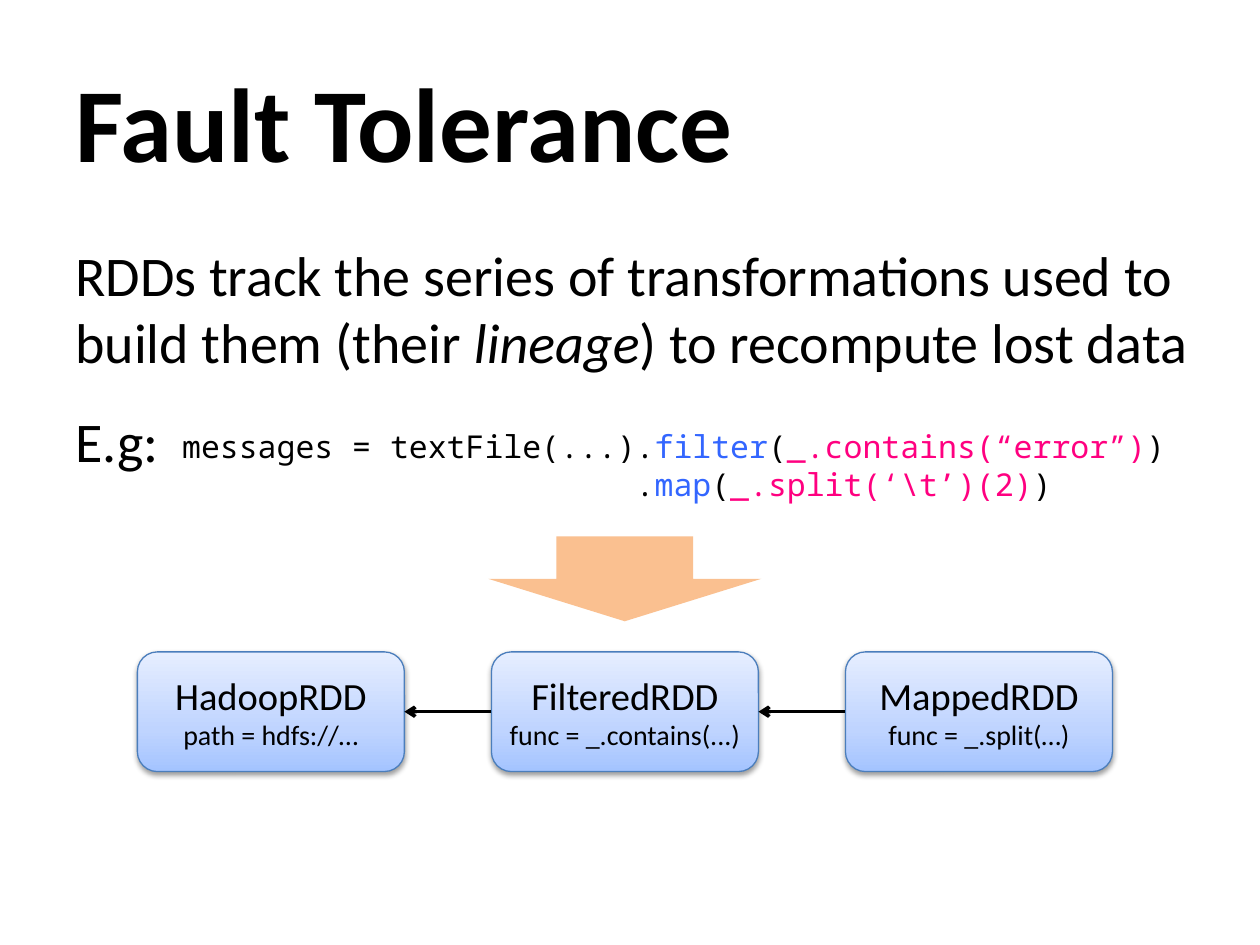
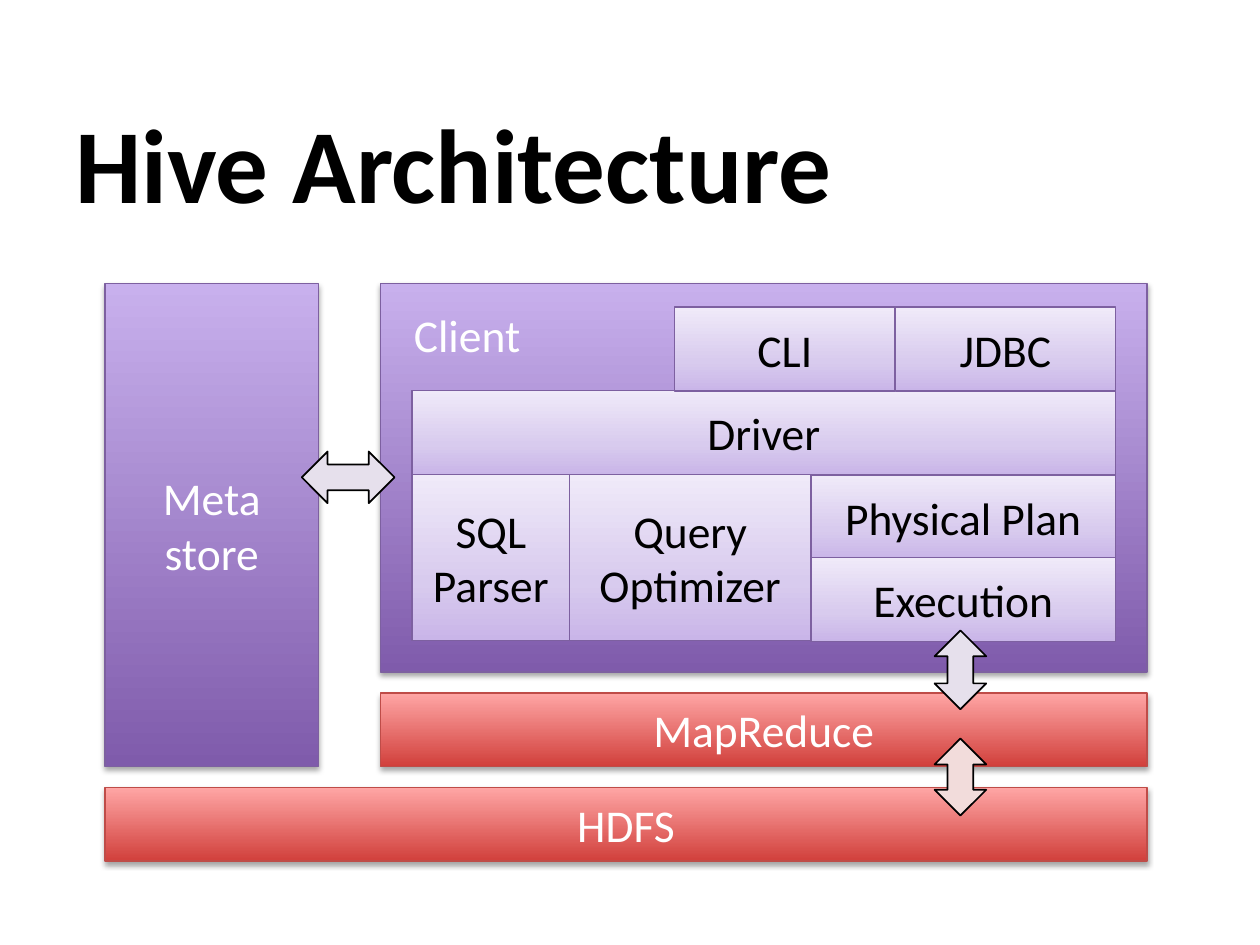
"""Build two slides: RDD fault tolerance and the Hive architecture."""
from copy import deepcopy

from lxml.etree import SubElement
from pptx import Presentation
from pptx.dml.color import RGBColor
from pptx.enum.shapes import MSO_CONNECTOR, MSO_SHAPE as SHAPE
from pptx.enum.text import MSO_ANCHOR as ANCHOR, PP_ALIGN as ALIGN
from pptx.oxml.ns import qn
from pptx.util import Pt

COLORS = {
    "black": "000000", "white": "FFFFFF", "method": "3366FF", "argument": "FF0080",
    "peach": "FAC090", "lilac": "E6E0EC", "rose": "F2DCDB",
}
STYLES = {
    "rdd": {"stops": [(0, "A4C4FF"), (35, "BFD4FF"), (100, "E6EEFF")],
            "line": "4B7EBC", "text": "black", "shadow": (38, 1.6)},
    "hive": {"stops": [(0, "7F5BAB"), (100, "C8B0ED")],
             "line": "7D60A0", "text": "white", "shadow": (35, 1.8)},
    "hadoop": {"stops": [(0, "D1403C"), (100, "FFA6A5")],
               "line": "BF4C48", "text": "white", "shadow": (35, 1.8)},
    "part": {"stops": [(0, "C9B5E8"), (35, "D8CBEE"), (100, "F0EAF9")],
             "line": "7D60A0", "text": "black", "shadow": None},
}


def write(frame, paragraphs, anchor=ANCHOR.TOP, align=ALIGN.LEFT, gap=0, font="Calibri"):
    """Fill a text frame with paragraphs of (text, size, color, emphasis) runs."""
    frame.word_wrap = True
    frame.vertical_anchor = anchor
    for index, runs in enumerate(paragraphs):
        paragraph = frame.add_paragraph() if index else frame.paragraphs[0]
        paragraph.alignment = align
        if index and gap:
            paragraph.space_before = Pt(gap)
        for text, size, color, emphasis in runs:
            run = paragraph.add_run()
            run.text = text
            run.font.name = font
            run.font.size = Pt(size)
            run.font.color.rgb = RGBColor.from_string(COLORS[color])
            run.font.bold = emphasis == "bold"
            run.font.italic = emphasis == "italic"


def add_block(slide, kind, place, style):
    """Add a shape with the gradient, outline and shadow of a style."""
    look = STYLES[style]
    block = slide.shapes.add_shape(kind, *map(Pt, place))
    block.fill.gradient()
    block.fill.gradient_angle = 90
    stop_list = block._element.spPr.find(".//" + qn("a:gsLst"))
    for _ in look["stops"][2:]:
        stop_list.append(deepcopy(stop_list[0]))
    for stop, (position, color) in zip(block.fill.gradient_stops, look["stops"]):
        stop.position = position / 100
        stop.color.rgb = RGBColor.from_string(color)
    block.line.color.rgb = RGBColor.from_string(look["line"])
    block.line.width = Pt(0.75)
    block.shadow.inherit = False
    if look["shadow"]:
        opacity, distance = look["shadow"]
        effects = block._element.spPr.find(qn("a:effectLst"))
        shade = SubElement(effects, qn("a:outerShdw"), blurRad=str(Pt(3.1)),
                           dist=str(Pt(distance)), dir="5400000", rotWithShape="0")
        tint = SubElement(shade, qn("a:srgbClr"), val=COLORS["black"])
        SubElement(tint, qn("a:alpha"), val=str(opacity * 1000))
    return block


deck = Presentation()
deck.slide_width, deck.slide_height = Pt(720), Pt(540)
slides = []
for heading, top in [("Fault Tolerance", 24), ("Hive Architecture", 47)]:
    slide = deck.slides.add_slide(deck.slide_layouts[6])
    title = slide.shapes.add_textbox(Pt(36), Pt(top), Pt(648), Pt(90))
    write(title.text_frame, [[(heading, 60, "black", "bold")]], ANCHOR.MIDDLE)
    slides.append(slide)
fault, hive = slides

down = fault.shapes.add_shape(SHAPE.DOWN_ARROW, Pt(279), Pt(306.5), Pt(156), Pt(48.5))
down.shadow.inherit = False
down.fill.solid()
down.fill.fore_color.rgb = RGBColor.from_string(COLORS["peach"])
down.line.fill.background()

lineage = fault.shapes.add_textbox(Pt(36), Pt(134), Pt(654), Pt(328))
write(lineage.text_frame, [
    [("RDDs track the series of transformations used to build them (their ", 32, "black", ""),
     ("lineage", 32, "black", "italic"),
     (") to recompute lost data", 32, "black", "")],
    [("E.g:", 32, "black", "")],
], gap=18)

code = fault.shapes.add_textbox(Pt(97), Pt(240.5), Pt(596), Pt(73))
write(code.text_frame, [
    [(text, 18, color, "") for text, color in line] for line in [
        [("messages = textFile(...).", "black"), ("filter", "method"), ("(", "black"),
         ("_.contains(“error”)", "argument"), (")", "black")],
        [("                        .", "black"), ("map", "method"), ("(", "black"),
         ("_.split(‘\\t’)(2)", "argument"), (")", "black")],
    ]
], font="Noto Sans Mono")

previous = None
for index, (name, detail) in enumerate([
    ("HadoopRDD", "path = hdfs://…"),
    ("FilteredRDD", "func = _.contains(...)"),
    ("MappedRDD", "func = _.split(…)"),
]):
    rdd = add_block(fault, SHAPE.ROUNDED_RECTANGLE, (78.5 + 202.3 * index, 372.5, 152.6, 68.4), "rdd")
    rdd.text_frame.margin_left = rdd.text_frame.margin_right = 0
    write(rdd.text_frame, [[(name, 22, "black", "")], [(detail, 16, "black", "")]],
          ANCHOR.MIDDLE, ALIGN.CENTER)
    if previous:
        parent = fault.shapes.add_connector(MSO_CONNECTOR.STRAIGHT, 0, 0, 0, 0)
        parent.begin_connect(rdd, 1)
        parent.end_connect(previous, 3)
        parent.line.color.rgb = RGBColor.from_string(COLORS["black"])
        parent.line.width = Pt(2)
        SubElement(parent.line._get_or_add_ln(), qn("a:tailEnd"), type="arrow")
        SubElement(parent._element.spPr, qn("a:effectLst"))
    previous = rdd

for label, style, place in [
    ("Meta store", "hive", (60, 162, 122, 276)),
    ("HDFS", "hadoop", (60, 450, 595.5, 42)),
    ("Client", "hive", (217.5, 162, 438, 222)),
    ("Driver", "part", (235.5, 223, 402, 48)),
    ("SQL Parser", "part", (235.5, 271, 90, 95)),
    ("Query Optimizer", "part", (325.5, 271, 138, 95)),
    ("Physical Plan", "part", (463.5, 271.5, 174, 48)),
    ("Execution", "part", (463.5, 318.5, 174, 48)),
    ("CLI", "part", (385.5, 175.5, 126, 48)),
    ("JDBC", "part", (511.5, 175.5, 126, 48)),
    ("MapReduce", "hadoop", (217.5, 396, 438, 42)),
]:
    component = add_block(hive, SHAPE.RECTANGLE, place, style)
    anchor, align = ANCHOR.MIDDLE, ALIGN.CENTER
    if label == "Client":
        anchor, align = ANCHOR.TOP, ALIGN.LEFT
        component.text_frame.margin_left = Pt(19)
        component.text_frame.margin_top = Pt(13.4)
    write(component.text_frame, [[(label, 26, STYLES[style]["text"], "")]], anchor, align)

for place, turn, color in [
    ((172.5, 258, 53, 29.5), 0, "lilac"),
    ((526.3, 368, 45, 29.5), 270, "lilac"),
    ((526.8, 429.3, 44, 29.5), 270, "rose"),
]:
    exchange = hive.shapes.add_shape(SHAPE.LEFT_RIGHT_ARROW, *map(Pt, place))
    exchange.rotation = turn
    exchange.shadow.inherit = False
    exchange.fill.solid()
    exchange.fill.fore_color.rgb = RGBColor.from_string(COLORS[color])
    exchange.line.color.rgb = RGBColor.from_string(COLORS["black"])
    exchange.line.width = Pt(1)

deck.save("out.pptx")
